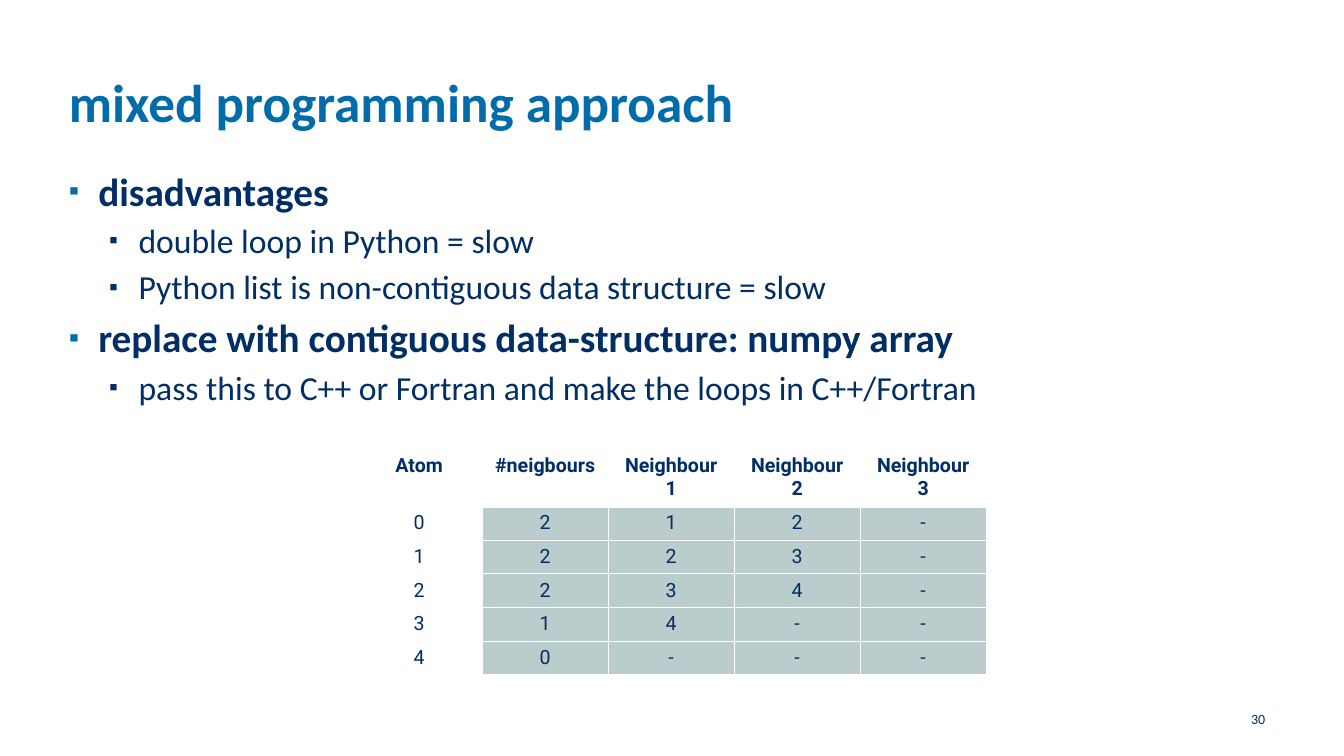
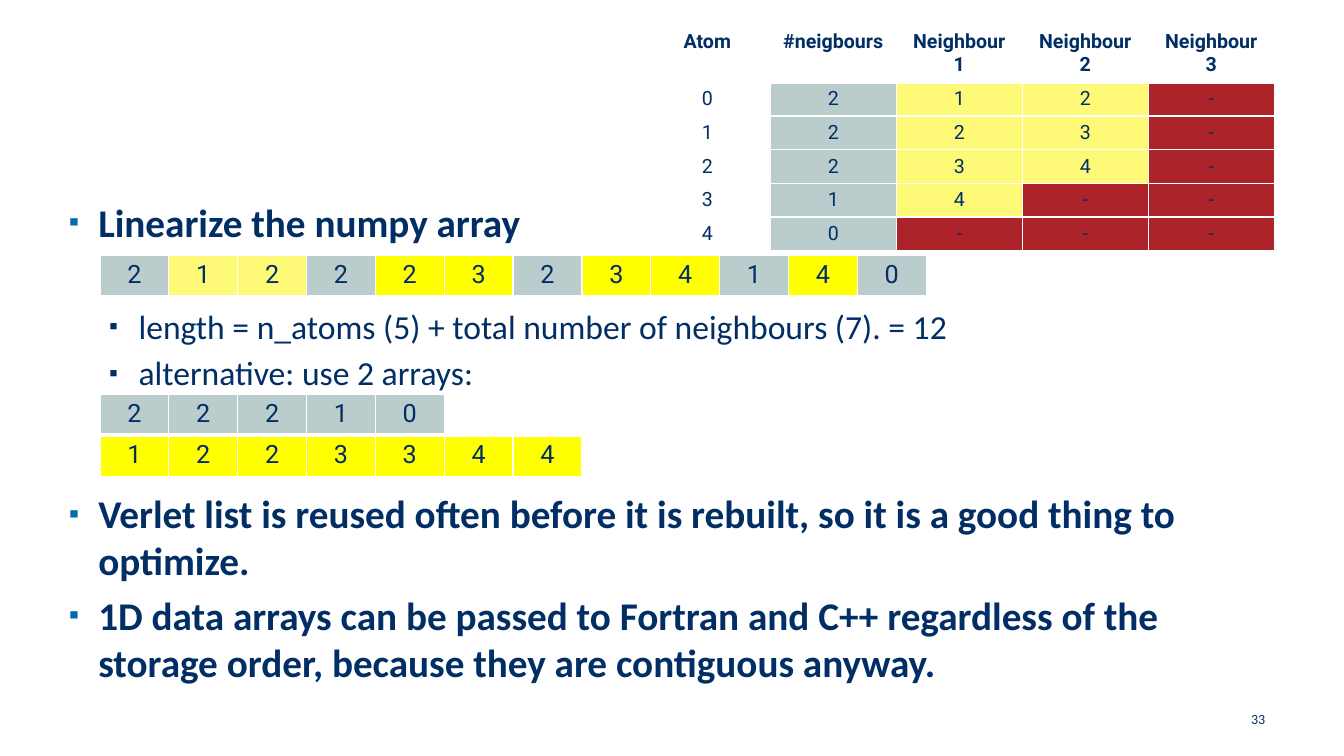
from dataclasses import dataclass

from lxml import etree
from pptx import Presentation
from pptx.dml.color import RGBColor
from pptx.enum.text import MSO_ANCHOR, PP_ALIGN
from pptx.oxml.ns import qn
from pptx.util import Emu, Pt

EMU_PER_PX = 7620  # 120 px to the inch


@dataclass(frozen=True)
class Theme:
    blue: str = "006CA9"
    navy: str = "002E65"
    white: str = "FFFFFF"
    grey: str = "BBCCCC"
    pale_yellow: str = "FFF978"
    yellow: str = "FFFF00"
    red: str = "AC242A"
    text_font: str = "Calibri"
    table_font: str = "Roboto"
    title_size: int = 38
    point_size: int = 28
    detail_size: int = 24
    array_size: int = 18
    table_size: int = 14
    number_size: int = 10


THEME = Theme()


@dataclass(frozen=True)
class Box:
    left: int
    top: int
    width: int
    height: int


@dataclass(frozen=True)
class Level:
    size: int
    bold: bool
    bullet_color: str
    indent: int
    gap: float  # points above the paragraph


POINT = Level(THEME.point_size, True, THEME.blue, 35, 5)
DETAIL = Level(THEME.detail_size, False, THEME.navy, 83, 4.2)
HANGING = 35


@dataclass(frozen=True)
class Item:
    text: str
    level: Level = POINT
    extra_gap: float = 0  # room for an array above the paragraph


@dataclass(frozen=True)
class Cell:
    text: str
    fill: str | None = None
    bold: bool = False
    bottom: int = 1  # lower border in points


TITLE_BOX = Box(82, 82, 1436, 104)
NUMBER_BOX = Box(1171, 832, 347, 48)

# Neighbours of each atom, padded to the widest table row
NEIGHBOURS = [[1, 2], [2, 3], [3, 4], [4], []]
MAX_NEIGHBOURS = 3
HEADINGS = ["Atom", "#neigbours"] + [f"Neighbour {n + 1}" for n in range(MAX_NEIGHBOURS)]


def px(length: int) -> Emu:
    return Emu(length * EMU_PER_PX)


def place(box: Box) -> tuple[Emu, Emu, Emu, Emu]:
    return px(box.left), px(box.top), px(box.width), px(box.height)


def write(paragraph, text: str, size: int, color: str = THEME.navy,
          font: str = THEME.text_font, bold: bool = False) -> None:
    run = paragraph.add_run()
    run.text = text
    for attribute, value in {"name": font, "size": Pt(size), "bold": bold}.items():
        setattr(run.font, attribute, value)
    run.font.color.rgb = RGBColor.from_string(color)


def add_frame(slide, box: Box, inset: bool = False):
    frame = slide.shapes.add_textbox(*place(box)).text_frame
    frame.word_wrap = True
    if not inset:
        for side in ("left", "top", "right", "bottom"):
            setattr(frame, f"margin_{side}", 0)
    return frame


def add_title(slide, text: str) -> None:
    write(add_frame(slide, TITLE_BOX).paragraphs[0], text,
          THEME.title_size, THEME.blue, bold=True)


def add_number(slide, number: int) -> None:
    frame = add_frame(slide, NUMBER_BOX, inset=True)
    frame.vertical_anchor = MSO_ANCHOR.MIDDLE
    frame.paragraphs[0].alignment = PP_ALIGN.RIGHT
    write(frame.paragraphs[0], str(number), THEME.number_size)


def set_bullet(paragraph, level: Level) -> None:
    properties = paragraph._p.get_or_add_pPr()
    properties.set("marL", str(px(level.indent)))
    properties.set("indent", str(-px(HANGING)))
    color = etree.SubElement(properties, qn("a:buClr"))
    etree.SubElement(color, qn("a:srgbClr"), val=level.bullet_color)
    etree.SubElement(properties, qn("a:buSzPct"), val="75000")
    etree.SubElement(properties, qn("a:buFont"), typeface="Arial")
    etree.SubElement(properties, qn("a:buChar"), char="▪")


def add_body(slide, top: int, items: list[Item]) -> None:
    frame = add_frame(slide, Box(82, top, 1436, 619))
    for index, item in enumerate(items):
        paragraph = frame.add_paragraph() if index else frame.paragraphs[0]
        paragraph.space_before = Pt(item.level.gap + item.extra_gap)
        set_bullet(paragraph, item.level)
        write(paragraph, item.text, item.level.size, bold=item.level.bold)


def set_borders(cell, bottom: int) -> None:
    properties = cell._tc.get_or_add_tcPr()
    for index, (side, width) in enumerate(zip("LRTB", (1, 1, 1, bottom))):
        line = etree.Element(qn(f"a:ln{side}"), w=str(Pt(width)))
        fill = etree.SubElement(line, qn("a:solidFill"))
        etree.SubElement(fill, qn("a:srgbClr"), val=THEME.white)
        properties.insert(index, line)


def add_grid(slide, left: int, top: int, column: int, row: int,
             size: int, cells: list[list[Cell]]) -> None:
    rows, columns = len(cells), len(cells[0])
    box = Box(left, top, columns * column, rows * row)
    table = slide.shapes.add_table(rows, columns, *place(box)).table
    table.first_row = table.horz_banding = False
    for grid_column in table.columns:
        grid_column.width = px(column)
    for grid_row, contents in zip(table.rows, cells):
        grid_row.height = px(row)
        for cell, content in zip(grid_row.cells, contents):
            if content.fill:
                cell.fill.solid()
                cell.fill.fore_color.rgb = RGBColor.from_string(content.fill)
            else:
                cell.fill.background()
            set_borders(cell, content.bottom)
            if content.text:
                paragraph = cell.text_frame.paragraphs[0]
                paragraph.alignment = PP_ALIGN.CENTER
                write(paragraph, content.text, size,
                      font=THEME.table_font, bold=content.bold)


def add_neighbour_table(slide, left: int, top: int, used: str, unused: str) -> None:
    cells = [[Cell(heading, bold=True, bottom=3) for heading in HEADINGS]]
    for atom, neighbours in enumerate(NEIGHBOURS):
        padding = MAX_NEIGHBOURS - len(neighbours)
        cells.append([Cell(str(atom)), Cell(str(len(neighbours)), THEME.grey)]
                     + [Cell(str(n), used) for n in neighbours]
                     + [Cell("-", unused)] * padding)
    add_grid(slide, left, top, 150, 36, THEME.table_size, cells)


def add_array(slide, top: int, cells: list[list[Cell]]) -> None:
    add_grid(slide, 119, top, 82, 49, THEME.array_size, cells)


def build_mixed_approach(slide) -> None:
    add_title(slide, "mixed programming approach")
    add_number(slide, 30)
    add_body(slide, 199, [
        Item("disadvantages"),
        Item("double loop in Python = slow", DETAIL),
        Item("Python list is non-contiguous data structure = slow", DETAIL),
        Item("replace with contiguous data-structure: numpy array"),
        Item("pass this to C++ or Fortran and make the loops in C++/Fortran", DETAIL),
    ])
    add_neighbour_table(slide, 424, 535, THEME.grey, THEME.grey)


def build_linear_array(slide) -> None:
    add_number(slide, 33)
    add_body(slide, 236, [
        Item("Linearize the numpy array"),
        Item("length = n_atoms (5) + total number of neighbours (7). = 12", DETAIL, 39.2),
        Item("alternative: use 2 arrays:", DETAIL),
        Item("Verlet list is reused often before it is rebuilt, "
             "so it is a good thing to optimize.", extra_gap=64.4),
        Item("1D data arrays can be passed to Fortran and C++ regardless of the "
             "storage order, because they are contiguous anyway."),
    ])
    add_neighbour_table(slide, 767, 30, THEME.pale_yellow, THEME.red)

    # One array: each count is followed by its neighbours
    combined = []
    for atom, neighbours in enumerate(NEIGHBOURS):
        color = THEME.yellow if atom else THEME.pale_yellow
        combined.append(Cell(str(len(neighbours)), THEME.grey, bottom=3))
        combined += [Cell(str(n), color, bottom=3) for n in neighbours]
    add_array(slide, 304, [combined])

    # Two arrays: counts above, neighbours below
    counts = [Cell(str(len(neighbours)), THEME.grey, bottom=3) for neighbours in NEIGHBOURS]
    flat = [Cell(str(n), THEME.yellow) for neighbours in NEIGHBOURS for n in neighbours]
    counts += [Cell("", THEME.white, bottom=3)] * (len(flat) - len(counts))
    add_array(slide, 469, [counts, flat])


def main() -> None:
    deck = Presentation()
    deck.slide_width, deck.slide_height = px(1600), px(900)
    blank = deck.slide_layouts[6]
    for build in (build_mixed_approach, build_linear_array):
        build(deck.slides.add_slide(blank))
    deck.save("out.pptx")


if __name__ == "__main__":
    main()
